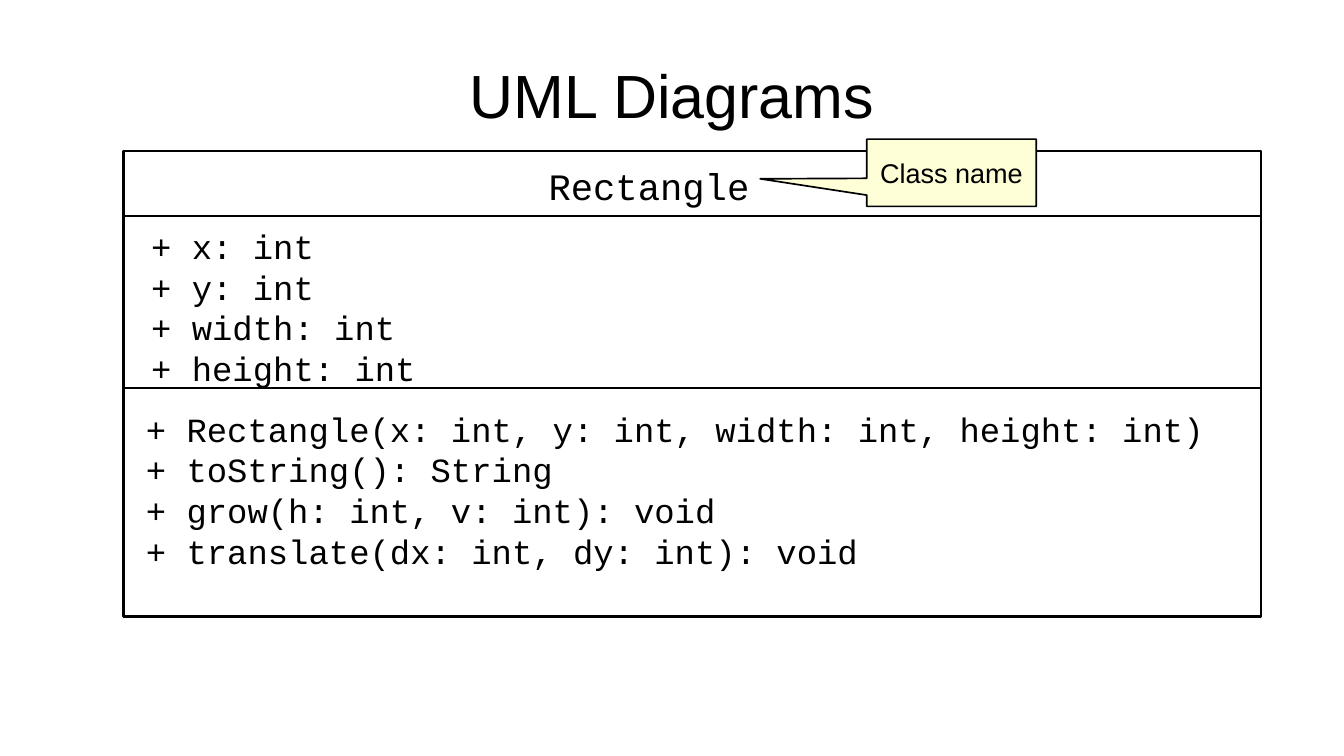
from dataclasses import dataclass

from lxml.etree import SubElement
from pptx import Presentation
from pptx.dml.color import RGBColor
from pptx.enum.shapes import MSO_CONNECTOR, MSO_SHAPE
from pptx.enum.text import MSO_ANCHOR, PP_ALIGN
from pptx.oxml.ns import qn
from pptx.util import Cm, Pt


@dataclass(frozen=True)
class Theme:
    """Colours, fonts and type sizes of the slide."""
    ink = RGBColor(0, 0, 0)
    paper = RGBColor(255, 255, 255)
    note = RGBColor(255, 255, 215)
    sans = "Arial"
    code = "Courier New"
    title = Pt(36)
    name = Pt(22)
    member = Pt(20)
    label = Pt(16)


def write(shape, lines, font=Theme.code, size=Theme.member, align=PP_ALIGN.LEFT,
          anchor=MSO_ANCHOR.TOP, pad=(0.25, 0.13), wrap=True):
    """Fill a shape with one paragraph per line."""
    frame = shape.text_frame
    frame.word_wrap = wrap
    frame.vertical_anchor = anchor
    frame.margin_left = frame.margin_right = Cm(pad[0])
    frame.margin_top = frame.margin_bottom = Cm(pad[1])
    frame.text = "\n".join(lines)
    for para in frame.paragraphs:
        para.alignment = align
        for run in para.runs:
            run.font.name = font
            run.font.size = size
            run.font.color.rgb = Theme.ink


def block(kind, place, fill=Theme.paper, line=None):
    """Add a flat shape at left, top, width, height in cm."""
    shape = slide.shapes.add_shape(kind, *map(Cm, place))
    shape.shadow.inherit = False
    shape.fill.solid()
    shape.fill.fore_color.rgb = fill
    if line:
        shape.line.color.rgb = Theme.ink
        shape.line.width = Pt(line)
    else:
        shape.line.fill.background()
    return shape


deck = Presentation()
deck.slide_width, deck.slide_height = Cm(28), Cm(15.75)
slide = deck.slides.add_slide(deck.slide_layouts[5])

title = slide.shapes.title
title.left, title.top, title.width, title.height = map(Cm, (1.4, 0.64, 25.2, 2.64))
write(title, ["UML Diagrams"], font=Theme.sans, size=Theme.title,
      align=PP_ALIGN.CENTER, anchor=MSO_ANCHOR.MIDDLE, pad=(0, 0))

# Class box with its three parts
left, top, width, height = 2.57, 3.15, 23.7, 9.7
block(MSO_SHAPE.RECTANGLE, (left, top, width, height), line=1.5)

fields = ["+ x: int", "+ y: int", "+ width: int", "+ height: int"]
methods = ["+ Rectangle(x: int, y: int, width: int, height: int)",
           "+ toString(): String",
           "+ grow(h: int, v: int): void",
           "+ translate(dx: int, dy: int): void"]
parts = [((11.18, 3.28, 4.83, 1.12), ["Rectangle"], Theme.name),
         ((2.9, 4.57, 15.75, 3.45), fields, Theme.member),
         ((2.79, 8.38, 22.78, 4.24), methods, Theme.member)]
for place, lines, size in parts:
    write(block(MSO_SHAPE.RECTANGLE, place), lines, size=size)

for y in (4.5, 8.08):
    rule = slide.shapes.add_connector(MSO_CONNECTOR.STRAIGHT, Cm(left), Cm(y),
                                      Cm(left + width), Cm(y))
    rule.line.color.rgb = Theme.ink
    rule.line.width = Pt(1.5)
    SubElement(rule._element.spPr, qn("a:effectLst"))

# Callout that points at the class name
callout = block(MSO_SHAPE.RECTANGULAR_CALLOUT, (18.06, 2.9, 3.53, 1.4),
                fill=Theme.note, line=1)
callout.adjustments[0], callout.adjustments[1] = -1.13, 0.09
write(callout, ["Class name"], font=Theme.sans, size=Theme.label,
      align=PP_ALIGN.CENTER, anchor=MSO_ANCHOR.MIDDLE, pad=(0.28, 0.15), wrap=False)

deck.save("out.pptx")
